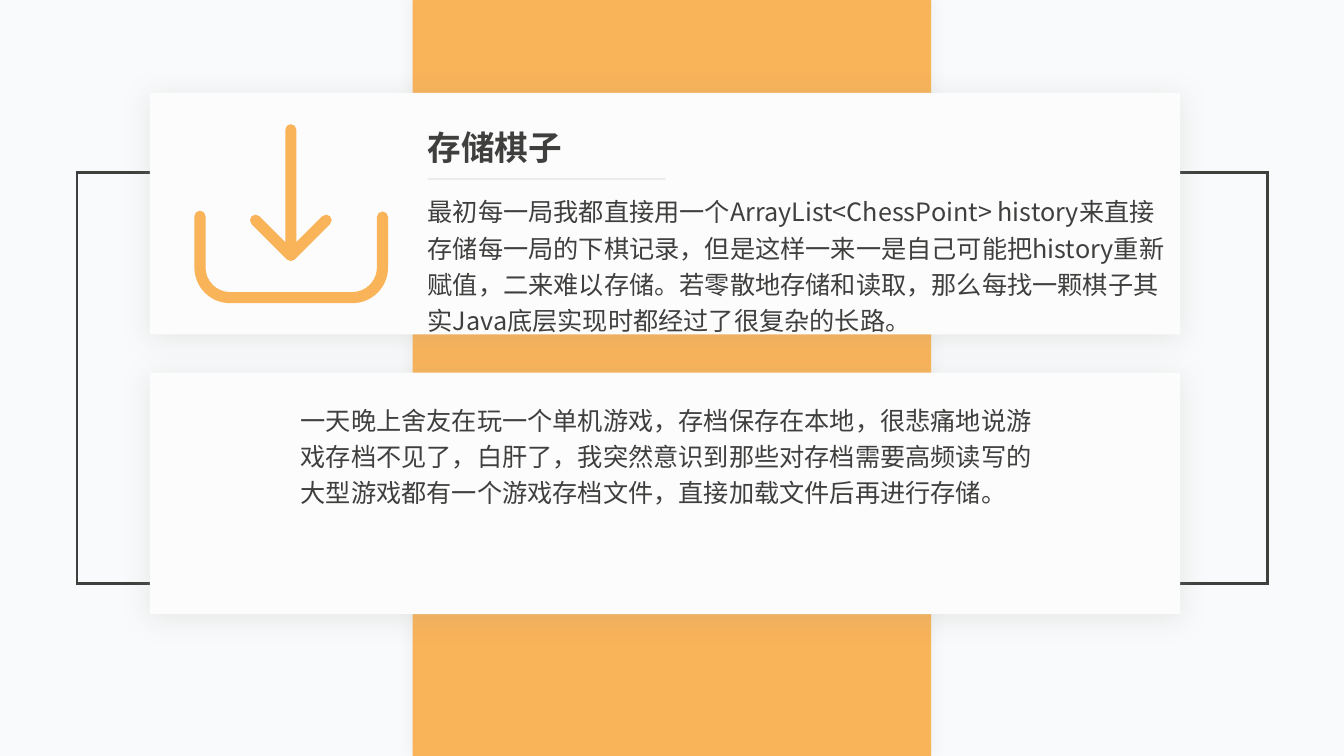
from math import cos, radians, sin, tan
from lxml import etree
from pptx import Presentation
from pptx.dml.color import RGBColor
from pptx.enum.shapes import MSO_CONNECTOR, MSO_SHAPE
from pptx.oxml.ns import qn
from pptx.util import Cm, Pt

RECT = MSO_SHAPE.RECTANGLE
LINE = MSO_CONNECTOR.STRAIGHT
FONT = "Noto Sans CJK SC"
HUES = {"back": "F9FAFB", "band": "F9B359", "ink": "3F403E",
        "card": "FCFCFD", "glow": "D5D7D5", "gray": "969F98"}
TONE = {name: RGBColor.from_string(hue) for name, hue in HUES.items()}


def shade(part, hue, alpha, blur, dist, turn):
    effects = part._element.spPr.find(qn("a:effectLst"))
    outer = etree.SubElement(effects, qn("a:outerShdw"), blurRad=str(Pt(blur)),
                             dist=str(Pt(dist)), dir=str(turn * 60000),
                             algn="ctr", rotWithShape="0")
    color = etree.SubElement(outer, qn("a:srgbClr"), val=HUES[hue])
    etree.SubElement(color, qn("a:alpha"), val=str(alpha * 1000))


def bend(x, y, r, start, end):
    count = abs(end - start) // 90
    step = radians((end - start) / count)
    pull = 4 / 3 * tan(step / 4)
    spots = [(cos(radians(start)), sin(radians(start)))]
    for i in range(count):
        a = radians(start) + i * step
        b = a + step
        spots += [(cos(a) - pull * sin(a), sin(a) + pull * cos(a)),
                  (cos(b) + pull * sin(b), sin(b) - pull * cos(b)),
                  (cos(b), sin(b))]
    return [(Cm(x + r * u), Cm(y + r * v)) for u, v in spots]


deck = Presentation()
deck.slide_width, deck.slide_height = Cm(33.87), Cm(19.05)
slide = deck.slides.add_slide(deck.slide_layouts[6])
slide.background.fill.solid()
slide.background.fill.fore_color.rgb = TONE["back"]
shapes = slide.shapes

panels = [
    (10.4, 0, 13.07, 19.05, "band", ("glow", 40, 10, 0, 0)),
    (1.94, 4.34, 30, 10.36, None, None),
    (3.78, 2.34, 25.96, 6.09, "card", ("gray", 20, 20, 3, 90)),
    (3.78, 9.39, 25.96, 6.09, "card", ("gray", 20, 20, 3, 90)),
]
for x, y, w, h, hue, glow in panels:
    panel = shapes.add_shape(RECT, Cm(x), Cm(y), Cm(w), Cm(h))
    panel.shadow.inherit = False
    if hue:
        panel.fill.solid()
        panel.fill.fore_color.rgb = TONE[hue]
        panel.line.fill.background()
        shade(panel, *glow)
    else:
        panel.fill.background()
        panel.line.color.rgb = TONE["ink"]
        panel.line.width = Pt(2)
        edge = panel._element.spPr.find(qn("a:ln"))
        etree.SubElement(edge, qn("a:miter"), lim="800000")

tray = [bend(9.64, 5.47, 0.14, 180, 360), bend(8.88, 6.74, 0.9, 0, 90),
        bend(5.8, 6.74, 0.9, 90, 180), bend(5.04, 5.45, 0.14, 180, 360),
        bend(5.8, 6.74, 0.62, 180, 90), bend(8.88, 6.74, 0.62, 90, 0)]
arrow = [bend(7.33, 3.27, 0.14, 180, 360), [(Cm(7.47), Cm(6.1))],
         bend(8.22, 5.55, 0.14, 225, 405), bend(7.33, 6.44, 0.14, 45, 135),
         bend(6.44, 5.55, 0.14, 135, 315), [(Cm(7.19), Cm(6.1))]]
group = shapes.add_group_shape()
for pieces in (tray, arrow):
    points = sum(pieces, [])
    pen = group.shapes.build_freeform(*points[0])
    pen.add_line_segments(points[1:], close=True)
    icon = pen.convert_to_shape()
    icon.shadow.inherit = False
    icon.fill.solid()
    icon.fill.fore_color.rgb = TONE["band"]
    icon.line.fill.background()
    moves = list(icon._element.spPr.find(".//" + qn("a:path")))
    at = 0
    for piece in pieces:
        for i in range(at + 1, at + len(piece), 3):
            curve = etree.Element(qn("a:cubicBezTo"))
            moves[i].addprevious(curve)
            for move in moves[i:i + 3]:
                curve.append(move[0])
                move.getparent().remove(move)
        at += len(piece)

rule = shapes.add_connector(LINE, Cm(10.78), Cm(4.51), Cm(16.77), Cm(4.51))
rule.line.color.rgb = TONE["gray"]
rule.line.width = Pt(0.5)
etree.SubElement(rule._element.spPr, qn("a:effectLst"))
tint = rule._element.spPr.find(".//" + qn("a:srgbClr"))
etree.SubElement(tint, qn("a:alpha"), val="50000")

texts = [
    (10.53, 3.07, 3.94, 1.27, 24, True, "存储棋子"),
    (10.53, 4.68, 19.2, 4.8, 18, False,
     "最初每一局我都直接用一个ArrayList<ChessPoint> history来直接存储每一局的下棋记录，"
     "但是这样一来一是自己可能把history重新赋值，二来难以存储。"
     "若零散地存储和读取，那么每找一颗棋子其实Java底层实现时都经过了很复杂的长路。"),
    (7.33, 9.93, 19.2, 2.95, 18, False,
     "一天晚上舍友在玩一个单机游戏，存档保存在本地，很悲痛地说游戏存档不见了，白肝了，"
     "我突然意识到那些对存档需要高频读写的大型游戏都有一个游戏存档文件，"
     "直接加载文件后再进行存储。"),
]
for x, y, w, h, size, bold, words in texts:
    frame = shapes.add_textbox(Cm(x), Cm(y), Cm(w), Cm(h)).text_frame
    frame.word_wrap = not bold
    para = frame.paragraphs[0]
    para.text = words
    para.line_spacing = 1.0 if bold else 1.2
    para.font.size = Pt(size)
    para.font.bold = bold
    para.font.name = FONT
    para.font.color.rgb = TONE["ink"]
    props = para._p.pPr.find(qn("a:defRPr"))
    etree.SubElement(props, qn("a:ea"), typeface=FONT)

deck.save("out.pptx")
